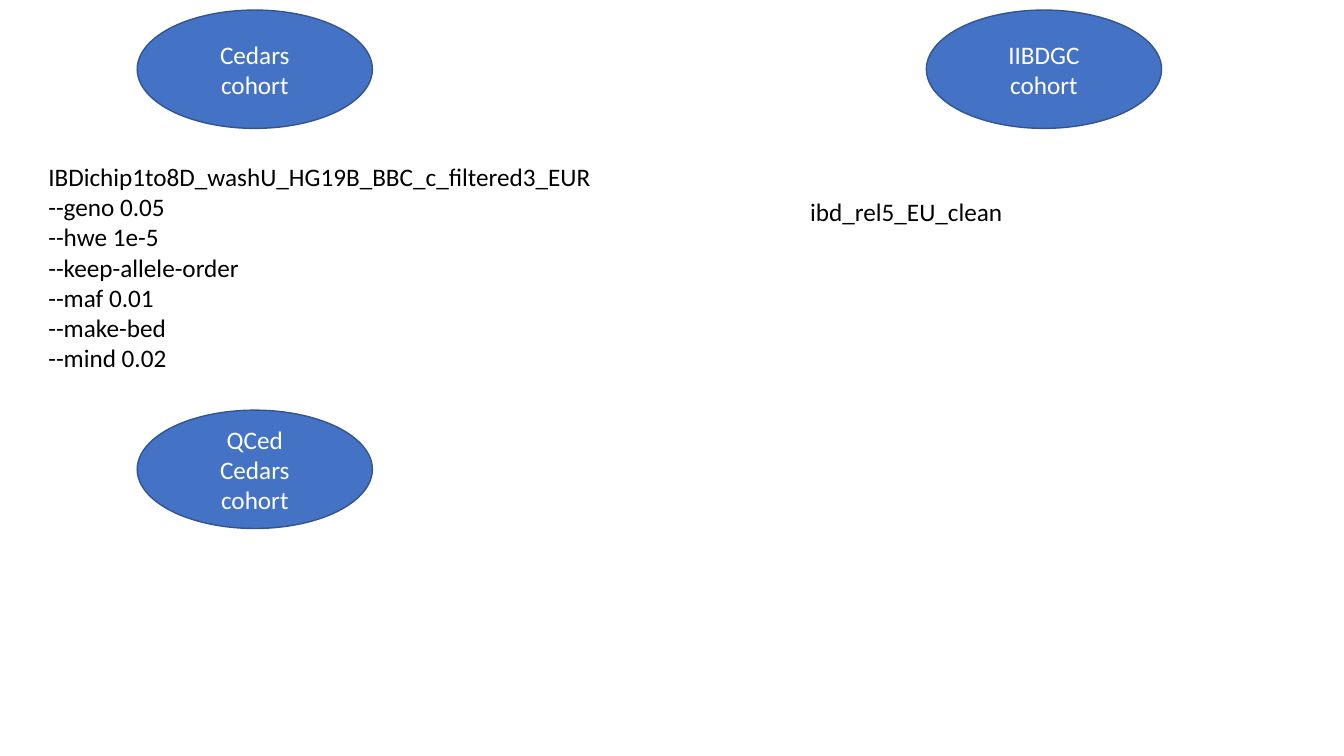
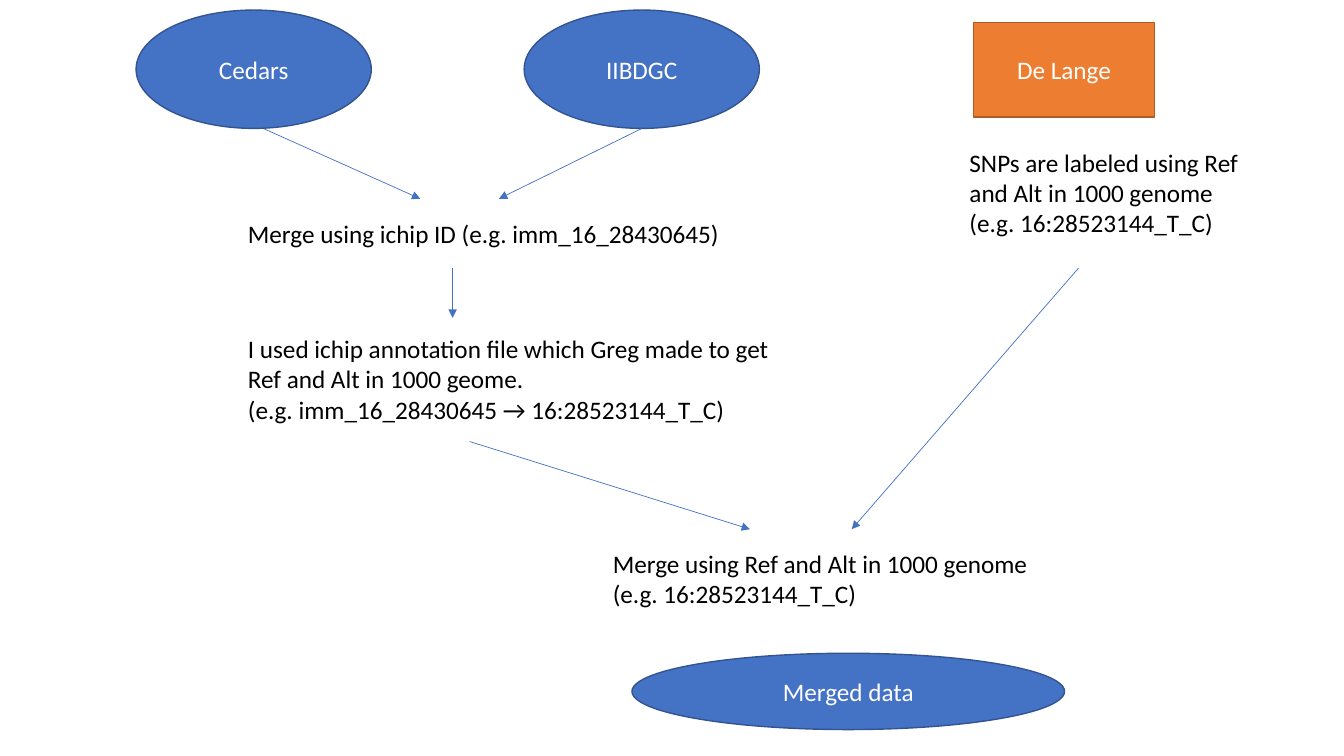
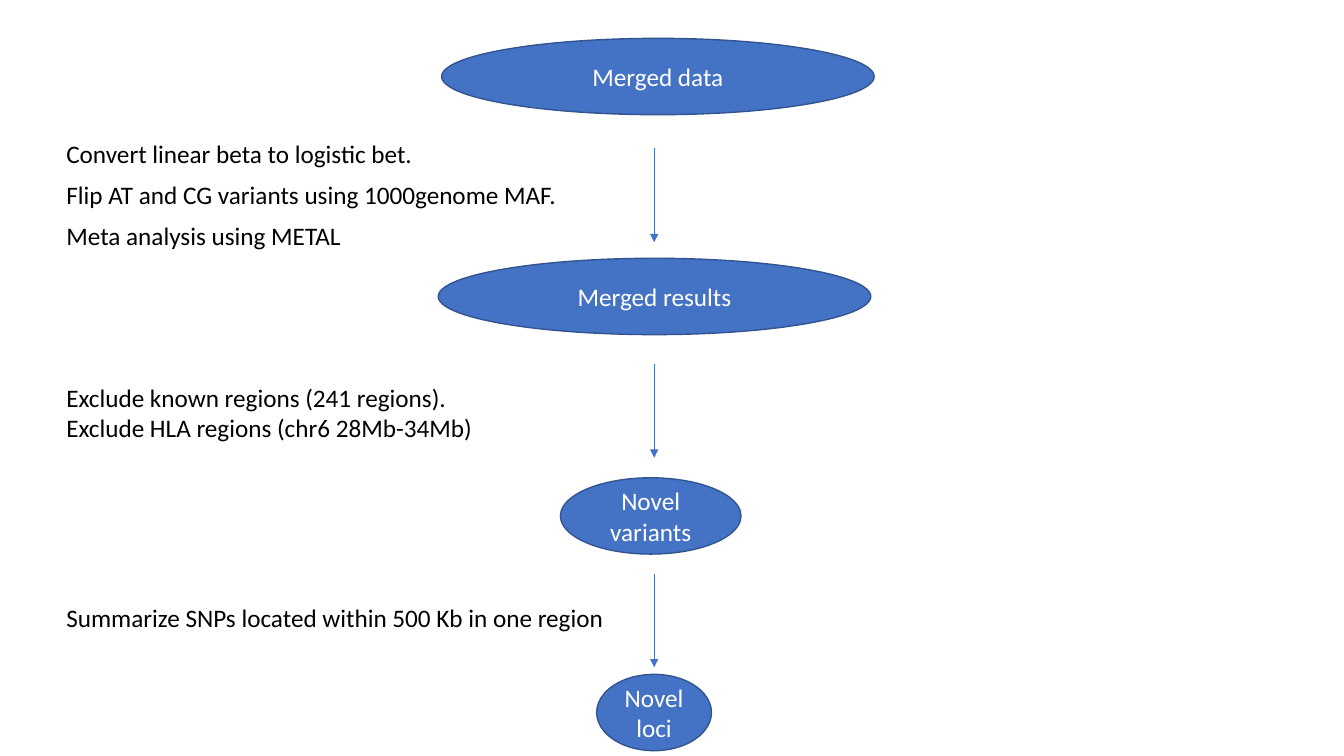
"""Build three slides on merging and analysing genotype cohorts."""
from dataclasses import dataclass

from lxml import etree
from pptx import Presentation
from pptx.dml.color import RGBColor
from pptx.enum import shapes, text
from pptx.oxml import ns
from pptx.slide import Slide
from pptx.text.text import TextFrame
from pptx.util import Pt

BLUE = RGBColor(0x44, 0x72, 0xC4)
BLUE_EDGE = RGBColor(0x32, 0x54, 0x91)
ORANGE = RGBColor(0xED, 0x7D, 0x31)
ORANGE_EDGE = RGBColor(0xAF, 0x5C, 0x24)
WHITE = RGBColor(0xFF, 0xFF, 0xFF)
BLACK = RGBColor(0x00, 0x00, 0x00)
FONT = "Calibri"
FONT_SIZE = 18

COHORT_SIZE = (168, 84.5)
RESULT_SIZE = (309, 54.5)
NOVEL_SIZE = (129, 54.5)
LOCI_SIZE = (82, 54.5)
SOURCE_SIZE = (129, 67.7)
COHORT_TOP = 7.2
LINE_HEIGHT = 29.2
STEP_LEFT = 40.3
STEP_WIDTH = 421
FLOW_X = 467.3
FLOW_LENGTH = 67


@dataclass(frozen=True)
class Node:
    label: str
    left: float
    top: float
    size: tuple[float, float]
    form: shapes.MSO_SHAPE = shapes.MSO_SHAPE.OVAL
    fill: RGBColor = BLUE
    edge: RGBColor = BLUE_EDGE


@dataclass(frozen=True)
class Note:
    wording: str
    left: float
    top: float
    width: float
    height: float = LINE_HEIGHT
    wraps: bool = True


@dataclass(frozen=True)
class Arrow:
    start: tuple[float, float]
    end: tuple[float, float]


@dataclass(frozen=True)
class Page:
    nodes: list[Node]
    notes: list[Note]
    arrows: list[Arrow]


QUALITY_CONTROL = Page(
    nodes=[
        Node("Cedars\ncohort", 98, COHORT_TOP, COHORT_SIZE),
        Node("IIBDGC\ncohort", 661.7, COHORT_TOP, COHORT_SIZE),
        Node("QCed\nCedars\ncohort", 98, 293, COHORT_SIZE),
    ],
    notes=[
        Note(
            "IBDichip1to8D_washU_HG19B_BBC_c_filtered3_EUR\n--geno 0.05\n--hwe 1e-5\n"
            "--keep-allele-order\n--maf 0.01\n--make-bed\n--mind 0.02",
            27.4, 111.6, 406, 181.4, wraps=False,
        ),
        Note("ibd_rel5_EU_clean", 571.7, 136.8, 153.4, wraps=False),
    ],
    arrows=[],
)

MERGING = Page(
    nodes=[
        Node("Cedars", 97.2, COHORT_TOP, COHORT_SIZE),
        Node("IIBDGC", 374.4, COHORT_TOP, COHORT_SIZE),
        Node("De Lange", 695.5, 16, SOURCE_SIZE,
             shapes.MSO_SHAPE.RECTANGLE, ORANGE, ORANGE_EDGE),
        Node("Merged data", 451.4, 466.6, RESULT_SIZE),
    ],
    notes=[
        Note("Merge using ichip ID (e.g. imm_16_28430645)", 170, 152.6, 394),
        Note("SNPs are labeled using Ref and Alt in 1000 genome (e.g. 16:28523144_T_C)",
             685.4, 101.5, 216.7, 72.7),
        Note("I used ichip annotation file which Greg made to get Ref and Alt in 1000 geome.\n"
             "(e.g. imm_16_28430645 → 16:28523144_T_C)", 170, 234.7, 394, 72.7),
        Note("Merge using Ref and Alt in 1000 genome\n(e.g. 16:28523144_T_C)",
             430.6, 388, 394, 51),
    ],
    arrows=[
        Arrow((188.6, 92), (300.2, 142)),
        Arrow((458, 92), (356.4, 142)),
        Arrow((323.3, 191.5), (323.3, 227)),
        Arrow((335.5, 315.4), (535.7, 378)),
        Arrow((770.4, 191.5), (608.4, 378)),
    ],
)

META_STEPS = (
    "Convert linear beta to logistic bet.",
    "Flip AT and CG variants using 1000genome MAF.",
    "Meta analysis using METAL",
)

META_ANALYSIS = Page(
    nodes=[
        Node("Merged data", 315.4, 27.4, RESULT_SIZE),
        Node("Merged results", 313, 184.5, RESULT_SIZE),
        Node("Novel variants", 400.3, 341.3, NOVEL_SIZE),
        Node("Novel\nloci", 426.2, 481.7, LOCI_SIZE),
    ],
    notes=[
        *(Note(step, STEP_LEFT, 95.6 + row * LINE_HEIGHT, STEP_WIDTH)
          for row, step in enumerate(META_STEPS)),
        Note("Exclude known regions (241 regions).\nExclude HLA regions (chr6 28Mb-34Mb)",
             STEP_LEFT, 269.3, STEP_WIDTH, 72.7),
        Note("Summarize SNPs located within 500 Kb in one region",
             STEP_LEFT, 427, 403, wraps=False),
    ],
    arrows=[Arrow((FLOW_X, top), (FLOW_X, top + FLOW_LENGTH)) for top in (106, 260, 409.7)],
)


def write(frame: TextFrame, wording: str, color: RGBColor, align: text.PP_ALIGN) -> None:
    frame.text = wording
    for paragraph in frame.paragraphs:
        paragraph.alignment = align
        paragraph.font.name = FONT
        paragraph.font.size = Pt(FONT_SIZE)
        paragraph.font.color.rgb = color


def draw_node(slide: Slide, node: Node) -> None:
    width, height = node.size
    shape = slide.shapes.add_shape(
        node.form, Pt(node.left), Pt(node.top), Pt(width), Pt(height))
    shape.shadow.inherit = False
    shape.fill.solid()
    shape.fill.fore_color.rgb = node.fill
    shape.line.color.rgb = node.edge
    shape.line.width = Pt(1)
    shape.text_frame.word_wrap = True
    shape.text_frame.vertical_anchor = text.MSO_ANCHOR.MIDDLE
    write(shape.text_frame, node.label, WHITE, text.PP_ALIGN.CENTER)


def draw_note(slide: Slide, note: Note) -> None:
    frame = slide.shapes.add_textbox(
        Pt(note.left), Pt(note.top), Pt(note.width), Pt(note.height)).text_frame
    frame.word_wrap = note.wraps
    frame.auto_size = text.MSO_AUTO_SIZE.SHAPE_TO_FIT_TEXT
    write(frame, note.wording, BLACK, text.PP_ALIGN.LEFT)


def draw_arrow(slide: Slide, arrow: Arrow) -> None:
    ends = (Pt(value) for value in (*arrow.start, *arrow.end))
    connector = slide.shapes.add_connector(shapes.MSO_CONNECTOR.STRAIGHT, *ends)
    connector.line.color.rgb = BLUE
    connector.line.width = Pt(0.5)
    properties = connector.element.spPr
    outline = properties.find(ns.qn("a:ln"))
    etree.SubElement(outline, ns.qn("a:tailEnd"), type="triangle")
    etree.SubElement(properties, ns.qn("a:effectLst"))


def main() -> None:
    deck = Presentation()
    deck.slide_width, deck.slide_height = Pt(960), Pt(540)
    blank = deck.slide_layouts[6]
    for page in (QUALITY_CONTROL, MERGING, META_ANALYSIS):
        slide = deck.slides.add_slide(blank)
        for node in page.nodes:
            draw_node(slide, node)
        for note in page.notes:
            draw_note(slide, note)
        for arrow in page.arrows:
            draw_arrow(slide, arrow)
    deck.save("out.pptx")


if __name__ == "__main__":
    main()
